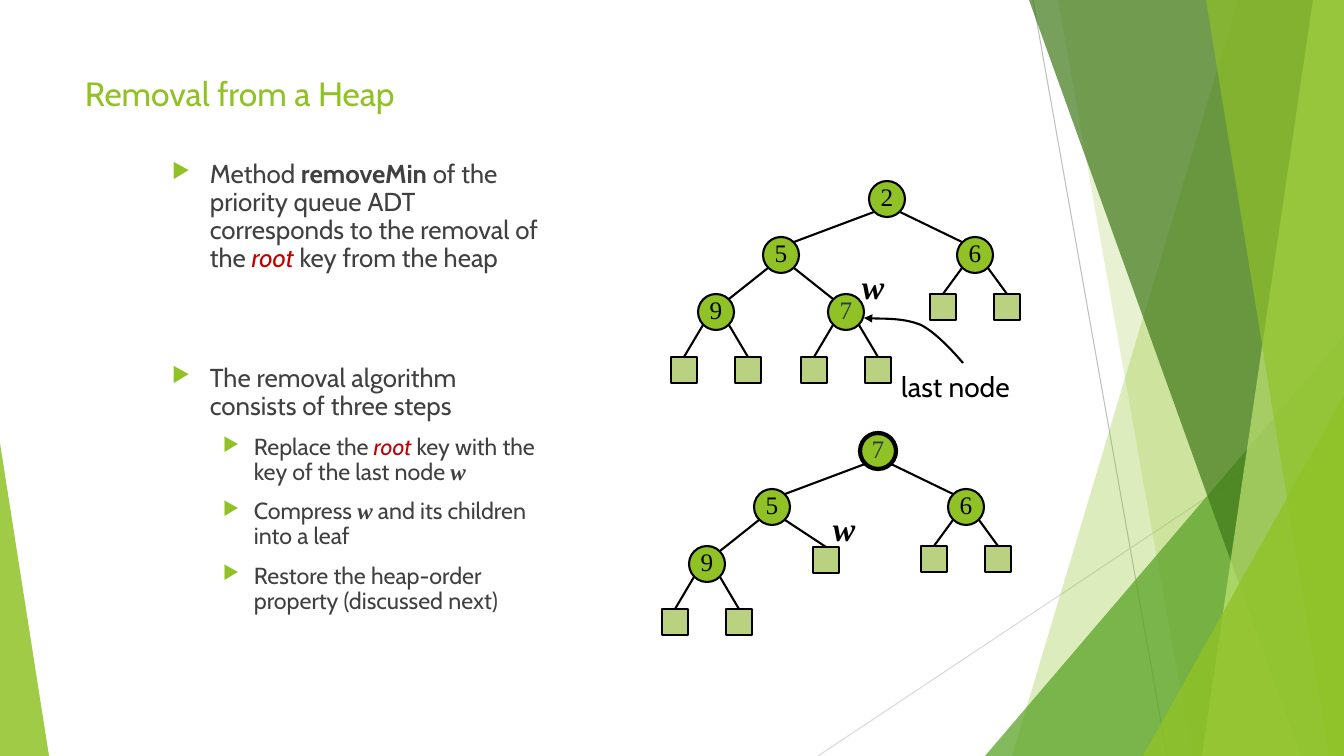
import pptx
import pptx.util
import pptx.dml.color
import pptx.enum.shapes
import pptx.enum.text
import pptx.oxml.ns
import lxml.etree

PX = 12192000 // 1344
GREEN, LEAF, BLACK, GREY, RED = "90C226", "B9D181", "000000", "404040", "C00000"
SANS, SERIF = "Cabin", "Times New Roman"
Pt = pptx.util.Pt
qn = pptx.oxml.ns.qn
kinds = pptx.enum.shapes.MSO_SHAPE
aligns = pptx.enum.text.PP_ALIGN
anchors = pptx.enum.text.MSO_ANCHOR

deck = pptx.Presentation()
deck.slide_width, deck.slide_height = 1344 * PX, 756 * PX
slide = deck.slides.add_slide(deck.slide_layouts[6])
shapes = slide.shapes


def paint(fill, shade):
    fill.solid()
    fill.fore_color.rgb = pptx.dml.color.RGBColor.from_string(shade)


def rule(x1, y1, x2, y2, shade, width):
    """Draw a straight line without a shadow."""
    line = shapes.add_connector(
        pptx.enum.shapes.MSO_CONNECTOR.STRAIGHT, x1 * PX, y1 * PX, x2 * PX, y2 * PX)
    paint(line.line.fill, shade)
    line.line.width = Pt(width)
    lxml.etree.SubElement(line._element.spPr, qn("a:effectLst"))
    return line


# Backdrop: slanted bands reach the right edge, triangles have a top at y
rule(1033, 0, 1167, 756, "BFBFBF", 0.75)
rule(1344, 406, 818, 756, "D9D9D9", 0.75)
bands = [
    ("band", 1238, 1012, GREEN, 30),
    ("band", 1058, 1192, GREEN, 20),
    ("peak", (985, 336, 359, 420), 1, "54A021", 72),
    ("band", 1029, 1301, "3F7819", 70),
    ("band", 1313, 1202, "C0E474", 70),
    ("band", 1206, 1329, GREEN, 65),
    ("peak", (1143, 396, 201, 360), 1, GREEN, 80),
    ("peak", (0, 443, 49, 313), 0, GREEN, 85),
]
for kind, place, lean, shade, alpha in bands:
    if kind == "band":
        pen = shapes.build_freeform(place, 0, scale=PX)
        pen.add_line_segments([(1344, 0), (1344, 756), (lean, 756)])
        band = pen.convert_to_shape()
    else:
        band = shapes.add_shape(kinds.ISOSCELES_TRIANGLE, *[n * PX for n in place])
        band.adjustments[0] = lean
    band.shadow.inherit = False
    band.line.fill.background()
    paint(band.fill, shade)
    tone = band._element.spPr.find(".//" + qn("a:srgbClr"))
    lxml.etree.SubElement(tone, qn("a:alpha"), val=str(alpha * 1000))

# Body text: level, space before, runs of (text, style)
body = [
    (0, 0, [("Method ", ""), ("removeMin", "bold"),
            (" of the priority queue ADT corresponds to the removal of the ", ""),
            ("root", "red"), (" key from the heap", "")]),
    (0, 66, [("The removal algorithm consists of three steps", "")]),
    (1, 10, [("Replace the ", ""), ("root", "red"),
             (" key with the key of the last node ", ""), ("w", "math")]),
    (1, 10, [("Compress ", ""), ("w", "math"), (" and its children into a leaf", "")]),
    (1, 10, [("Restore the heap-order property (discussed next)", "")]),
]
frame = shapes.add_textbox(162 * PX, 156 * PX, 386 * PX, 504 * PX).text_frame
frame.word_wrap = True
for i, (level, gap, runs) in enumerate(body):
    para = frame.paragraphs[0] if i == 0 else frame.add_paragraph()
    props = para._p.get_or_add_pPr()
    props.set("marL", str((38, 82)[level] * PX))
    props.set("indent", str((-38, -31)[level] * PX))
    para.level = level
    para.line_spacing = 0.9
    para.space_before = Pt(gap)
    tint = lxml.etree.SubElement(props, qn("a:buClr"))
    lxml.etree.SubElement(tint, qn("a:srgbClr"), val=GREEN)
    lxml.etree.SubElement(props, qn("a:buSzPct"), val="80000")
    lxml.etree.SubElement(props, qn("a:buChar"), char="▶")
    for text, style in runs:
        run = para.add_run()
        run.text = text
        run.font.size = Pt((18.5, 16.6)[level])
        run.font.name = SERIF if style == "math" else SANS
        run.font.bold = style in ("bold", "math")
        run.font.italic = style in ("red", "math")
        paint(run.font.fill, RED if style == "red" else GREY)

# Heaps: each node is key, offset from the root, parent key; leaves have no key
heaps = [
    ("2", 887, 199, 1.5, [("7", -41, 113, "5"), ("", -73, 171, "7"), ("", -9, 171, "7")]),
    ("7", 878, 451, 3, [("", -52, 109, "5")]),
]
for root, left, top, weight, extra in heaps:
    nodes = [
        (root, 0, 0, None), ("5", -106, 56, root), ("6", 88, 56, root),
        ("9", -171, 113, "5"), ("", -203, 171, "9"), ("", -139, 171, "9"),
        ("", 56, 108, "6"), ("", 120, 108, "6"),
    ] + extra
    spots = {}
    for key, dx, dy, parent in nodes:
        x, y = left + dx, top + dy
        half = 18 if key else 13
        node = shapes.add_shape(
            kinds.OVAL if key else kinds.RECTANGLE,
            (x - half) * PX, (y - half) * PX, 2 * half * PX, 2 * half * PX)
        node.shadow.inherit = False
        paint(node.fill, GREEN if key else LEAF)
        paint(node.line.fill, BLACK)
        node.line.width = Pt(1.5 if parent else weight)
        if key:
            spots[key] = x, y
            frame = node.text_frame
            frame.word_wrap = False
            frame.vertical_anchor = anchors.MIDDLE
            frame.margin_left = frame.margin_top = frame.margin_right = 0
            frame.margin_bottom = 5 * PX
            para = frame.paragraphs[0]
            para.alignment = aligns.CENTER
            run = para.add_run()
            run.text = key
            run.font.size = Pt(18)
            run.font.name = SERIF
            paint(run.font.fill, "2C3C43" if key == "7" else BLACK)
        if parent:
            px, py = spots[parent]
            side = 13 if x > px else -13
            if key:
                rule(px + side, py + 13, x - side, y - 13, BLACK, 1.5)
            else:
                edge = rule(px + side, py + 13, x, y - half, BLACK, 1.5)
                edge.end_connect(node, 0)

# Curved arrow to the last node: triples of points become Bézier segments
pen = shapes.build_freeform(963, 363, scale=PX)
pen.add_line_segments(
    [(957, 356), (937, 333), (921, 325), (904, 318), (876, 319), (864, 318)], close=False)
arrow = pen.convert_to_shape()
arrow.shadow.inherit = False
arrow.fill.background()
paint(arrow.line.fill, BLACK)
arrow.line.width = Pt(1.5)
props = arrow._element.spPr
lxml.etree.SubElement(props.find(qn("a:ln")), qn("a:tailEnd"), type="triangle")
track = props.find(".//" + qn("a:path"))
steps = track.findall(qn("a:lnTo"))
for i in range(0, len(steps), 3):
    curve = lxml.etree.SubElement(track, qn("a:cubicBezTo"))
    for step in steps[i:i + 3]:
        curve.append(step[0])
        track.remove(step)

# Title and labels
labels = [
    ("Removal from a Heap", (75, 68, 948, 145), 24, SANS, GREEN, aligns.LEFT),
    ("last node", (889, 365, 133, 43), 20, SANS, BLACK, aligns.CENTER),
    ("w", (852, 261, 42, 50), 24, SERIF, BLACK, aligns.CENTER),
    ("w", (823, 503, 42, 50), 24, SERIF, BLACK, aligns.CENTER),
]
for text, place, size, face, shade, align in labels:
    frame = shapes.add_textbox(*[n * PX for n in place]).text_frame
    frame.word_wrap = align == aligns.LEFT
    para = frame.paragraphs[0]
    para.alignment = align
    run = para.add_run()
    run.text = text
    run.font.size = Pt(size)
    run.font.name = face
    run.font.bold = run.font.italic = face == SERIF
    paint(run.font.fill, shade)

deck.save("out.pptx")
